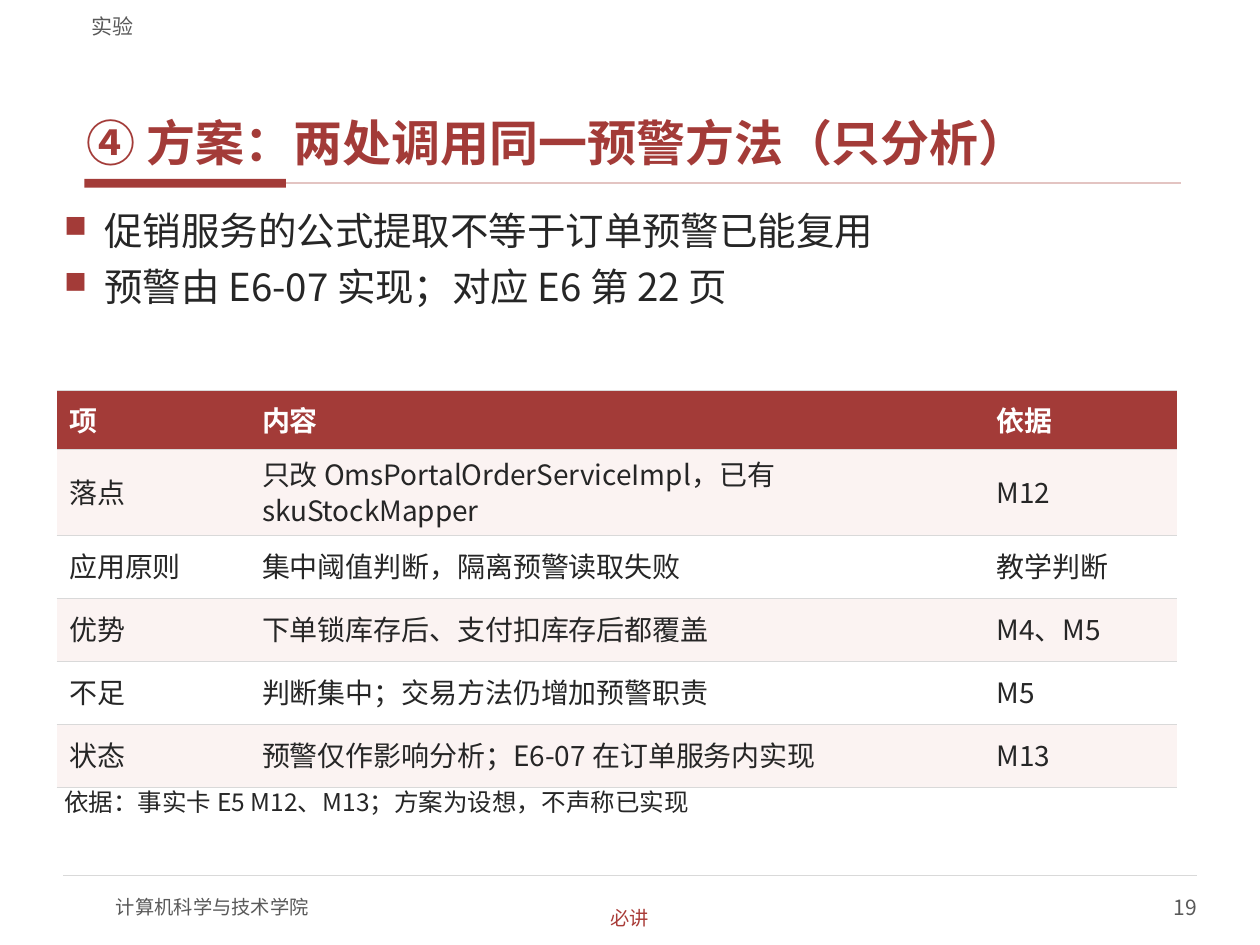
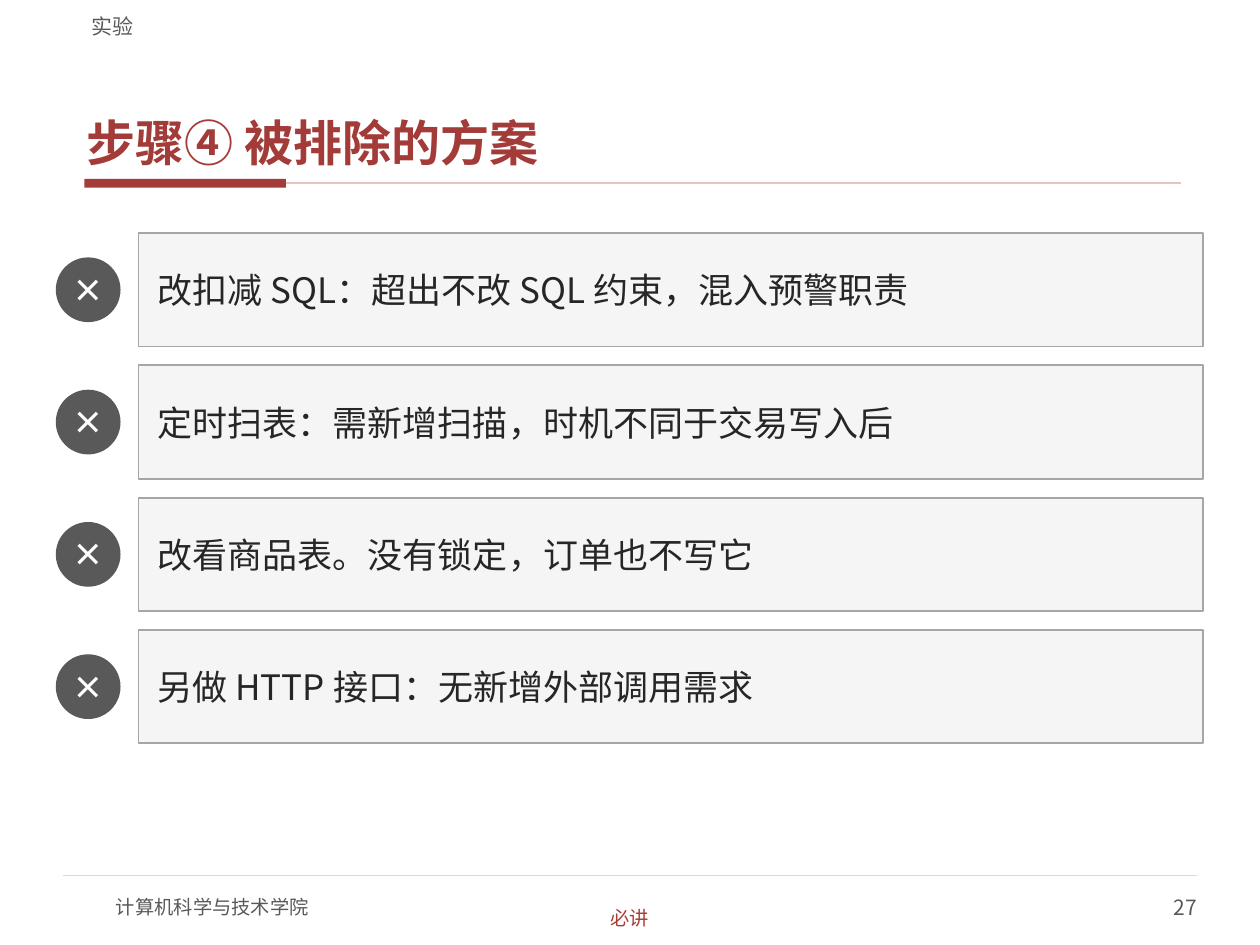
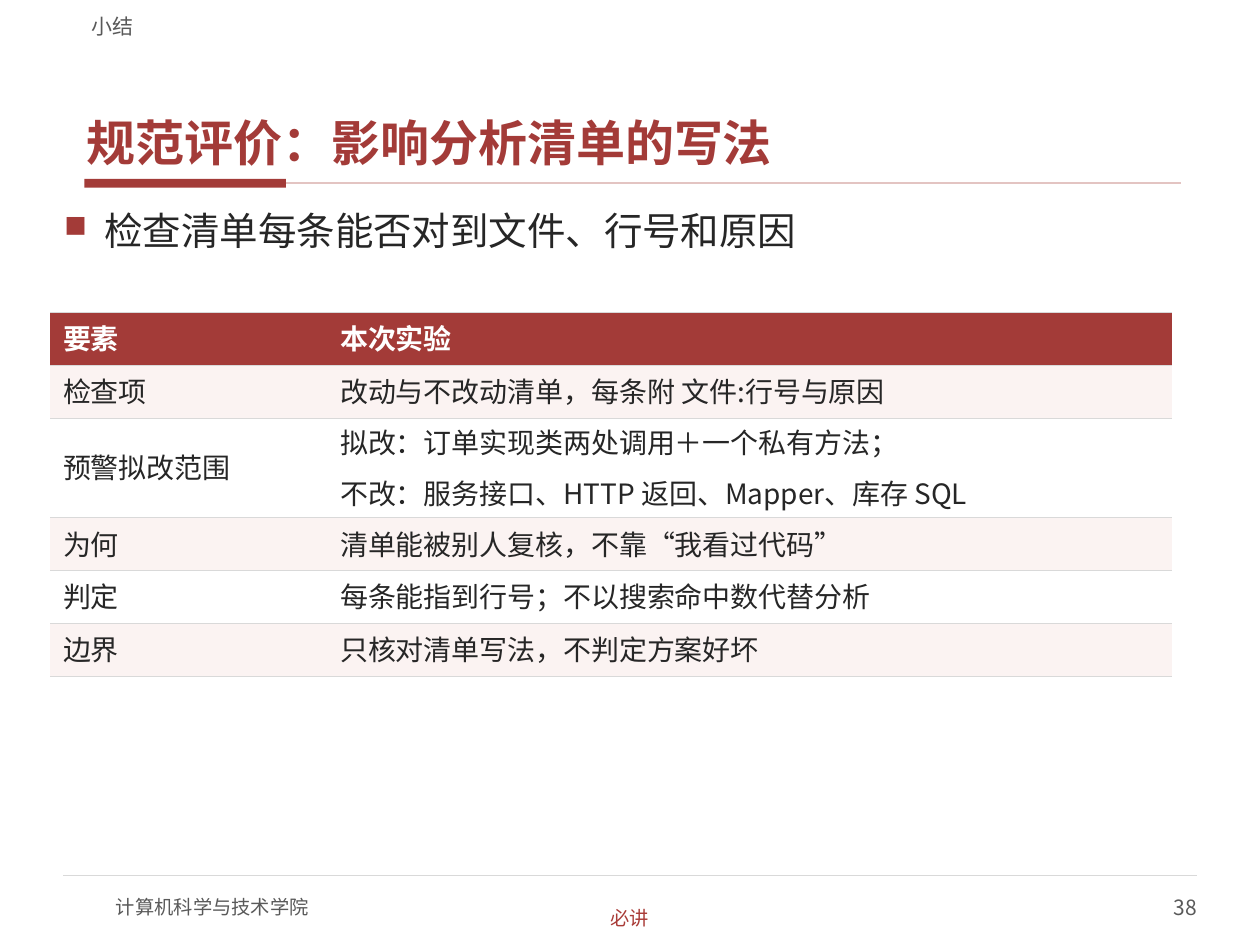
import pptx
import pptx.dml.color
import pptx.enum.shapes
import pptx.enum.text
import pptx.oxml
import pptx.oxml.ns
import pptx.util
from lxml import etree

Inches, Pt = pptx.util.Inches, pptx.util.Pt
RGB = pptx.dml.color.RGBColor.from_string
ALIGN, ANCHOR = pptx.enum.text.PP_ALIGN, pptx.enum.text.MSO_ANCHOR
SHAPE = pptx.enum.shapes.MSO_SHAPE
STRAIGHT = pptx.enum.shapes.MSO_CONNECTOR.STRAIGHT
qn = pptx.oxml.ns.qn

FONT = "Noto Sans CJK SC"
NO_GRID_STYLE = "{2D5ABB26-0587-4C30-8999-92F81FD0307C}"
COLORS = {
    "red": "A33B38", "tag": "A93B37", "rule": "E3C4C2", "band": "FBF3F2",
    "white": "FFFFFF", "ink": "262626", "gray": "595959", "grid": "D9D9D9",
    "card": "F5F5F5", "edge": "A6A6A6",
}
BODY_INSET = (0.06, 0.02)
LEFT, WIDTH = 0.45, 9.1

pages = [
    {
        "section": "实验", "number": "19",
        "title": "④ 方案：两处调用同一预警方法（只分析）",
        "points": ["促销服务的公式提取不等于订单预警已能复用",
                   "预警由 E6-07 实现；对应 E6 第 22 页"],
        "points_height": 1.37,
        "table": {
            "left": 0.45, "top": 3.1, "columns": [1.53, 5.83, 1.53],
            "heights": [0.47, 0.68] + [0.5] * 4,
            "rows": [
                ["项", "内容", "依据"],
                ["落点", "只改 OmsPortalOrderServiceImpl，已有 skuStockMapper", "M12"],
                ["应用原则", "集中阈值判断，隔离预警读取失败", "教学判断"],
                ["优势", "下单锁库存后、支付扣库存后都覆盖", "M4、M5"],
                ["不足", "判断集中；交易方法仍增加预警职责", "M5"],
                ["状态", "预警仅作影响分析；E6-07 在订单服务内实现", "M13"],
            ],
        },
        "source": "依据：事实卡 E5 M12、M13；方案为设想，不声称已实现",
    },
    {
        "section": "实验", "number": "27",
        "title": "步骤④ 被排除的方案",
        "rejected": ["改扣减 SQL：超出不改 SQL 约束，混入预警职责",
                     "定时扫表：需新增扫描，时机不同于交易写入后",
                     "改看商品表。没有锁定，订单也不写它",
                     "另做 HTTP 接口：无新增外部调用需求"],
    },
    {
        "section": "小结", "number": "38",
        "title": "规范评价：影响分析清单的写法",
        "points": ["检查清单每条能否对到文件、行号和原因"],
        "points_height": 0.78,
        "table": {
            "left": 0.4, "top": 2.48, "columns": [2.2, 6.7],
            "heights": [0.42, 0.42, 0.79, 0.42, 0.42, 0.42],
            "rows": [
                ["要素", "本次实验"],
                ["检查项", "改动与不改动清单，每条附 文件:行号与原因"],
                ["预警拟改范围", "拟改：订单实现类两处调用＋一个私有方法；\n"
                                 "不改：服务接口、HTTP 返回、Mapper、库存 SQL"],
                ["为何", "清单能被别人复核，不靠“我看过代码”"],
                ["判定", "每条能指到行号；不以搜索命中数代替分析"],
                ["边界", "只核对清单写法，不判定方案好坏"],
            ],
        },
    },
]


def write(frame, lines, size, color, bold=False, bullet=False, inset=None,
          anchor=None, wrap=True, before=0, **paragraph_format):
    """Fill a text frame, one paragraph per line."""
    if inset:
        frame.margin_left = frame.margin_right = Inches(inset[0])
        frame.margin_top = frame.margin_bottom = Inches(inset[1])
    if anchor is not None:
        frame.vertical_anchor = anchor
        frame.word_wrap = wrap
    for index, line in enumerate(lines):
        paragraph = frame.add_paragraph() if index else frame.paragraphs[0]
        paragraph.space_before = Pt(before if index else 0)
        for name, value in paragraph_format.items():
            setattr(paragraph, name, value)
        if bullet:
            properties = paragraph._p.get_or_add_pPr()
            properties.set("marL", str(Inches(0.32)))
            properties.set("indent", str(-Inches(0.32)))
            mark_color = etree.SubElement(properties, qn("a:buClr"))
            etree.SubElement(mark_color, qn("a:srgbClr"), val=COLORS["red"])
            etree.SubElement(properties, qn("a:buSzPct"), val="80000")
            etree.SubElement(properties, qn("a:buChar"), char="■")
        run = paragraph.add_run()
        run.text = line
        for name, value in {"name": FONT, "size": Pt(size), "bold": bold}.items():
            setattr(run.font, name, value)
        run.font.color.rgb = RGB(COLORS[color])
        latin = run._r.rPr.find(qn("a:latin"))
        latin.addnext(latin.makeelement(qn("a:ea"), typeface=FONT))


def add_block(slide, kind, at, fill, line=None):
    """Add a preset shape with a plain fill and an optional 1 pt outline."""
    block = slide.shapes.add_shape(kind, *map(Inches, at))
    block.shadow.inherit = False
    block.fill.solid()
    block.fill.fore_color.rgb = RGB(COLORS[fill])
    if line:
        block.line.color.rgb = RGB(COLORS[line])
        block.line.width = Pt(1)
    else:
        block.line.fill.background()
    return block


deck = pptx.Presentation()
deck.slide_width, deck.slide_height = Inches(10), Inches(7.5)
title_only = deck.slide_layouts[5]

for page in pages:
    slide = deck.slides.add_slide(title_only)

    # Title, rules and small print shared by all slides
    title = slide.shapes.title
    title.left, title.top, title.width, title.height = map(Inches, (0.63, 0.33, 8.75, 1.05))
    write(title.text_frame, [page["title"]], 28, "red", bold=True, inset=BODY_INSET,
          anchor=ANCHOR.BOTTOM, alignment=ALIGN.LEFT, space_after=Pt(2))

    accent = add_block(slide, SHAPE.RECTANGLE, (0.67, 1.42, 1.6, 0.07), "red")
    accent_middle = accent.top + accent.height // 2
    title_rule = slide.shapes.add_connector(
        STRAIGHT, Inches(2.27), accent_middle, Inches(9.37), accent_middle)
    title_rule.begin_connect(accent, 3)
    footer_rule = slide.shapes.add_connector(
        STRAIGHT, Inches(0.5), Inches(6.95), Inches(9.5), Inches(6.95))
    for rule, color, weight in ((title_rule, "rule", 1), (footer_rule, "grid", 0.75)):
        rule.line.color.rgb = RGB(COLORS[color])
        rule.line.width = Pt(weight)
        etree.SubElement(rule._element.spPr, qn("a:effectLst"))

    texts = [
        ((0.92, 7, 4, 0.4), ["计算机科学与技术学院"],
         dict(size=11, color="gray", inset=(0, 0), anchor=ANCHOR.MIDDLE)),
        ((7.5, 7, 2, 0.4), [page["number"]],
         dict(size=12, color="gray", inset=(0, 0), anchor=ANCHOR.MIDDLE, alignment=ALIGN.RIGHT)),
        ((0.63, 0.04, 8.75, 0.27), [page["section"]],
         dict(size=12, color="gray", inset=(0.1, 0), anchor=ANCHOR.BOTTOM)),
        ((4.4, 7.18, 1.2, 0.21), ["必讲"],
         dict(size=11, color="tag", inset=(0, 0), anchor=ANCHOR.MIDDLE, wrap=False,
              alignment=ALIGN.CENTER)),
    ]
    if "points" in page:
        texts.append(((LEFT, 1.62, WIDTH, page["points_height"]), page["points"],
                      dict(size=22, color="ink", bullet=True, inset=BODY_INSET,
                           anchor=ANCHOR.TOP, before=4, space_after=Pt(2))))
    if "source" in page:
        texts.append(((LEFT, 6.23, WIDTH, 0.5), [page["source"]],
                      dict(size=14, color="ink", inset=BODY_INSET, anchor=ANCHOR.TOP,
                           space_after=Pt(2))))
    for at, lines, style in texts:
        box = slide.shapes.add_textbox(*map(Inches, at))
        write(box.text_frame, lines, **style)

    # Rejected options: a cross beside each card
    for index, option in enumerate(page.get("rejected", [])):
        top = 1.85 + 1.05 * index
        cross = add_block(slide, SHAPE.OVAL, (LEFT, top + 0.2, 0.5, 0.5), "gray", "gray")
        write(cross.text_frame, ["×"], 18, "white", bold=True, inset=(0, 0),
              anchor=ANCHOR.MIDDLE, alignment=ALIGN.CENTER)
        card = add_block(slide, SHAPE.RECTANGLE, (1.1, top, 8.45, 0.9), "card", "edge")
        write(card.text_frame, [option], 20, "ink", inset=(0.15, 0.07),
              anchor=ANCHOR.MIDDLE, alignment=ALIGN.LEFT)

    # Banded table
    if "table" in page:
        plan = page["table"]
        rows, columns, heights = plan["rows"], plan["columns"], plan["heights"]
        table = slide.shapes.add_table(
            len(rows), len(columns), Inches(plan["left"]), Inches(plan["top"]),
            Inches(sum(columns)), Inches(sum(heights))).table
        table._tbl.tblPr.find(qn("a:tableStyleId")).text = NO_GRID_STYLE
        table.horz_banding = False
        for column, width in zip(table.columns, columns):
            column.width = Inches(width)
        for r, (row, height) in enumerate(zip(rows, heights)):
            table.rows[r].height = Inches(height)
            fill = "red" if r == 0 else "band" if r % 2 else "white"
            for c, text in enumerate(row):
                cell = table.cell(r, c)
                cell.vertical_anchor = ANCHOR.MIDDLE
                for side in ("a:lnT", "a:lnB"):
                    border = etree.SubElement(cell._tc.get_or_add_tcPr(), qn(side),
                                              w=str(Pt(0.75)))
                    paint = etree.SubElement(border, qn("a:solidFill"))
                    etree.SubElement(paint, qn("a:srgbClr"), val=COLORS["grid"])
                cell.fill.solid()
                cell.fill.fore_color.rgb = RGB(COLORS[fill])
                write(cell.text_frame, text.split("\n"), 16, "ink" if r else "white",
                      bold=r == 0, before=6, space_after=Pt(2), line_spacing=0.9)

deck.save("out.pptx")
